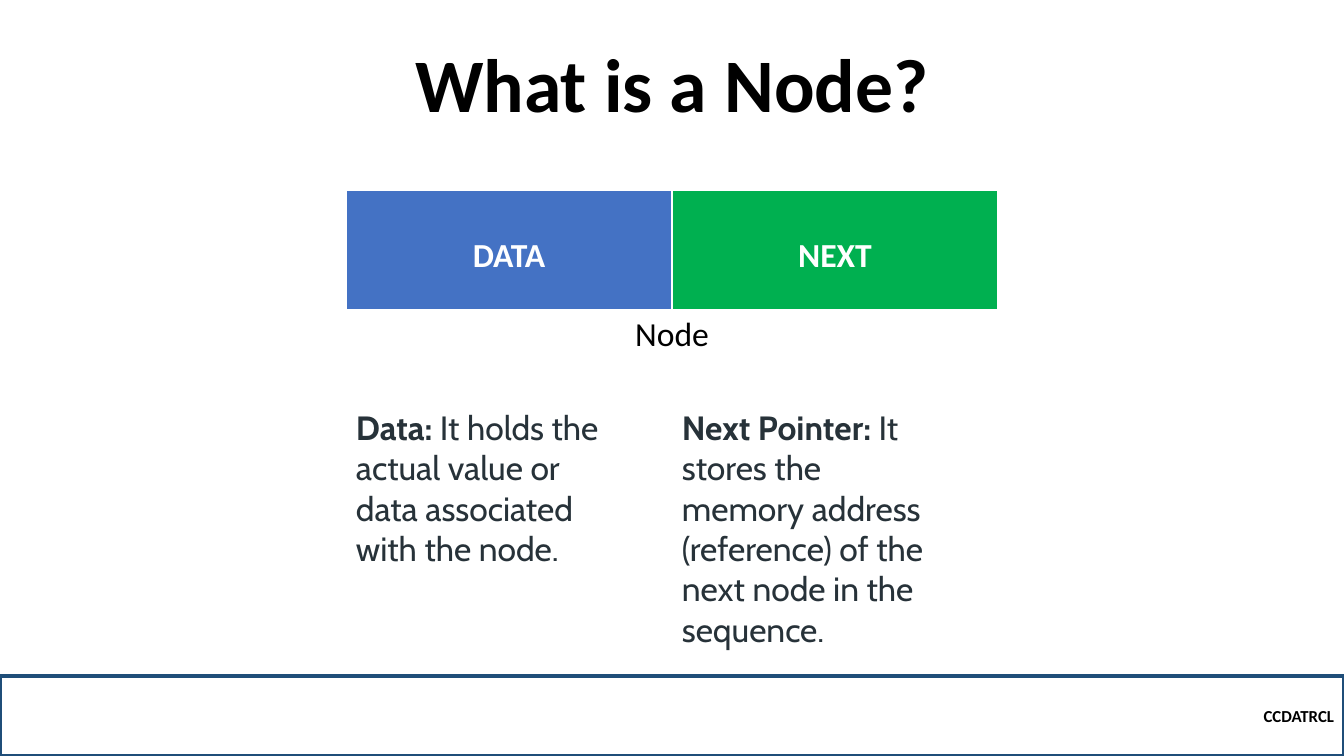
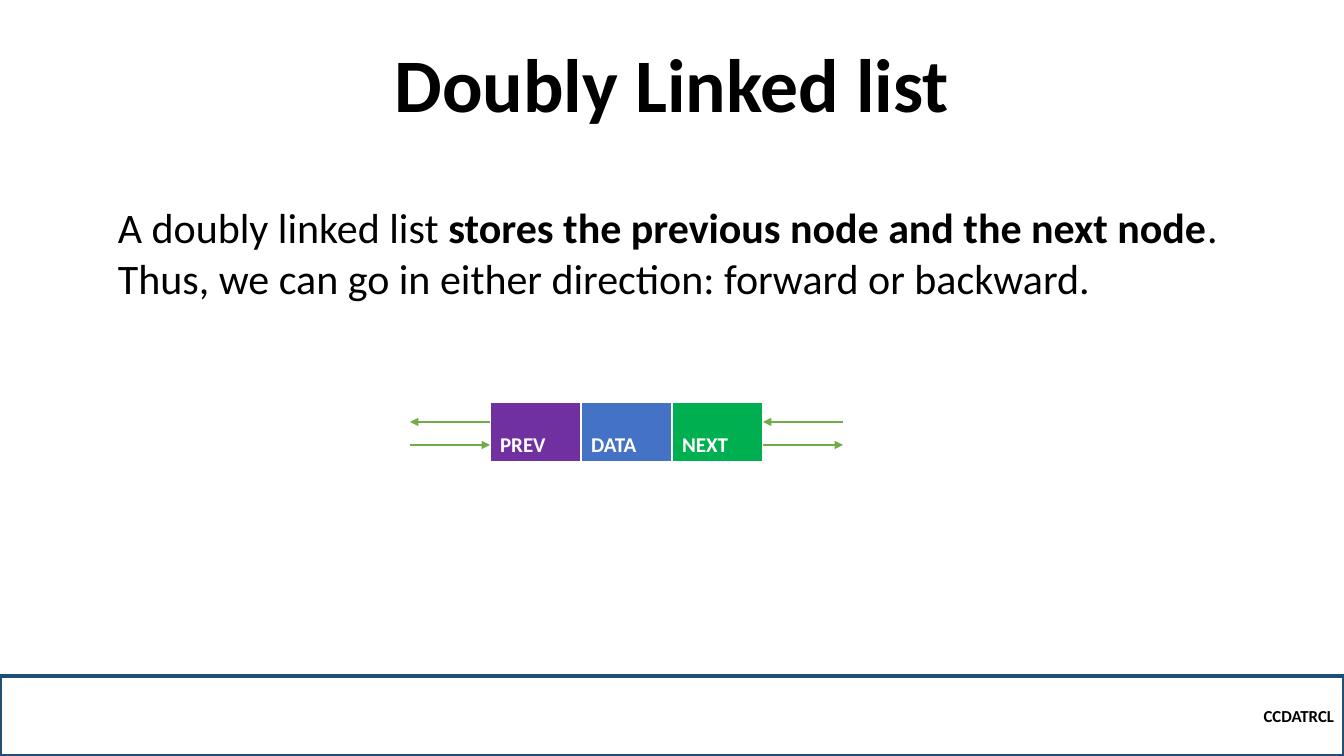
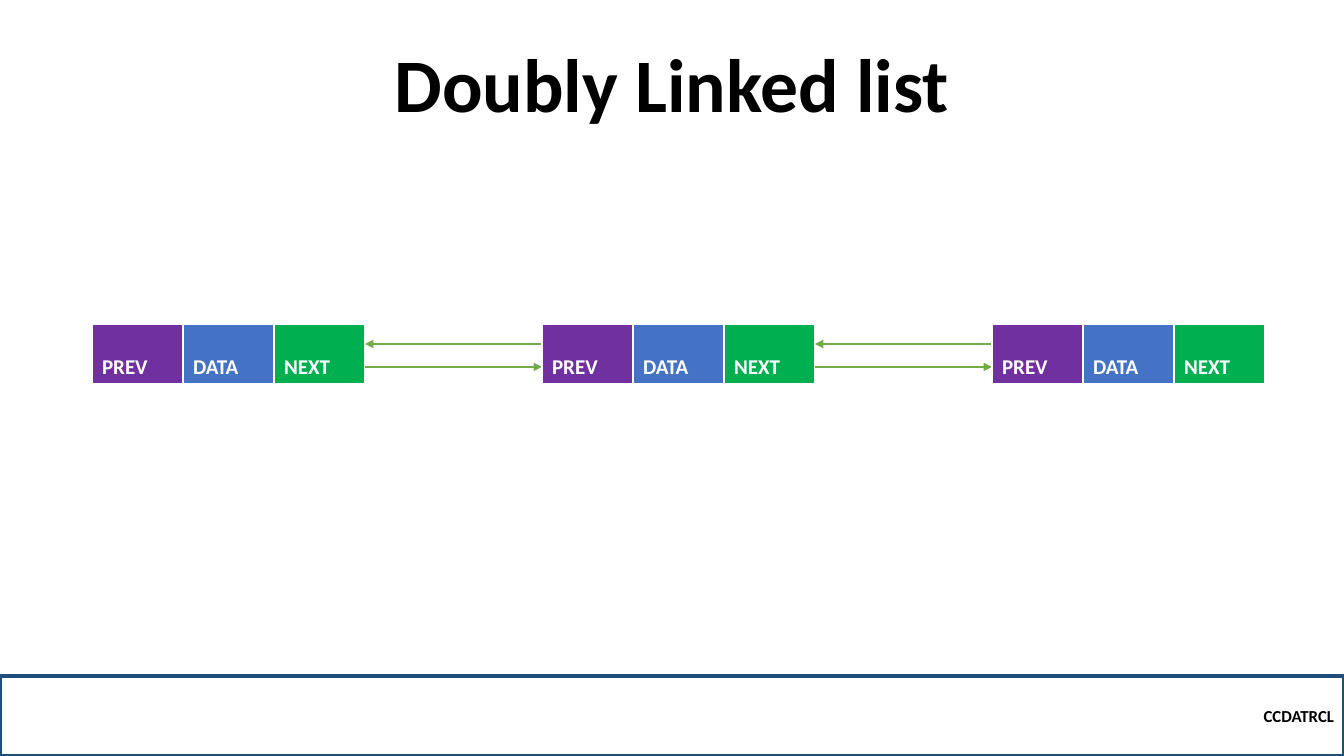
from lxml import etree
from pptx import Presentation
from pptx.dml.color import RGBColor
from pptx.enum.shapes import MSO_CONNECTOR, MSO_SHAPE
from pptx.enum.text import MSO_ANCHOR, MSO_AUTO_SIZE, PP_ALIGN
from pptx.oxml.ns import qn
from pptx.util import Pt

LEFT, CENTER, RIGHT = PP_ALIGN.LEFT, PP_ALIGN.CENTER, PP_ALIGN.RIGHT
TOP, MIDDLE, BOTTOM = MSO_ANCHOR.TOP, MSO_ANCHOR.MIDDLE, MSO_ANCHOR.BOTTOM
NO_AUTOFIT = MSO_AUTO_SIZE.NONE
RECTANGLE = MSO_SHAPE.RECTANGLE
STRAIGHT = MSO_CONNECTOR.STRAIGHT

SLIDE_WIDTH, SLIDE_HEIGHT = 1344, 756
EMU_PER_PIXEL = 12192000 / SLIDE_WIDTH
TITLE_ONLY = 5

BLACK, WHITE, SLATE = "000000", "FFFFFF", "273239"
NAVY, GREEN_LINK = "1F4E79", "70AD47"
PREV_COLOR, DATA_COLOR, NEXT_COLOR = "7030A0", "4472C4", "00B050"
FONT, BODY_FONT = "Calibri", "Cabin"

NODE_FIELDS = [("PREV", PREV_COLOR), ("DATA", DATA_COLOR), ("NEXT", NEXT_COLOR)]
FIELD_WIDTH, NODE_HEIGHT = 91, 61
NODE_WIDTH = FIELD_WIDTH * len(NODE_FIELDS)
BACKWARD_OFFSET, FORWARD_OFFSET = 20, 43


def px(pixels):
    """Turn pixels into EMU."""
    return round(pixels * EMU_PER_PIXEL)


def box(*pixels):
    """Turn a left, top, width, height box into EMU."""
    return [px(value) for value in pixels]


def rgb(color):
    """Turn a hex string into a colour."""
    return RGBColor.from_string(color)


def style(paragraph, size, color, bold=None, font=FONT, align=LEFT):
    """Set the font and alignment of a paragraph."""
    paragraph.alignment = align
    paragraph.font.name = font
    paragraph.font.size = Pt(size)
    paragraph.font.bold = bold
    paragraph.font.color.rgb = rgb(color)


def add_footer(slide):
    """Draw the outlined band with the course code."""
    band = slide.shapes.add_shape(RECTANGLE, *box(0, 676, SLIDE_WIDTH, 80))
    band.shadow.inherit = False
    band.fill.background()
    band.line.color.rgb = rgb(NAVY)
    band.line.width = Pt(2.25)
    band.text_frame.vertical_anchor = MIDDLE
    course = band.text_frame.paragraphs[0]
    course.text = "CCDATRCL"
    style(course, 12, BLACK, bold=True, align=RIGHT)


def add_slide(deck, heading):
    """Add a slide with its title and the shared footer."""
    slide = deck.slides.add_slide(deck.slide_layouts[TITLE_ONLY])
    title = slide.shapes.title
    title.left, title.top, title.width, title.height = box(168, 54, 1008, 80)
    title.text_frame.text = heading
    title.text_frame.auto_size = NO_AUTOFIT
    title.text_frame.vertical_anchor = BOTTOM
    line = title.text_frame.paragraphs[0]
    line.line_spacing = 0.9
    style(line, 54, BLACK, bold=True, align=CENTER)
    add_footer(slide)
    return slide


def add_passage(slide, area, parts, size, color, font=FONT):
    """Write one paragraph from (text, bold) parts."""
    frame = slide.shapes.add_textbox(*box(*area)).text_frame
    frame.word_wrap = True
    passage = frame.paragraphs[0]
    style(passage, size, color, font=font)
    for text, bold in parts:
        run = passage.add_run()
        run.text = text
        run.font.bold = bold


def set_borders(cell, bottom_width):
    """Give a cell white borders, with its own width at the bottom."""
    properties = cell._tc.get_or_add_tcPr()
    for side, width in (("L", 1), ("R", 1), ("T", 1), ("B", bottom_width)):
        border = etree.SubElement(properties, qn(f"a:ln{side}"), w=str(Pt(width)))
        fill = etree.SubElement(border, qn("a:solidFill"))
        etree.SubElement(fill, qn("a:srgbClr"), val=WHITE)


def fill_cell(cell, text, fill, size, color=WHITE, bold=True, align=LEFT,
              anchor=BOTTOM, bottom_margin=5, bottom_border=1):
    """Write and format one table cell."""
    set_borders(cell, bottom_border)
    cell.fill.solid()
    cell.fill.fore_color.rgb = rgb(fill)
    cell.vertical_anchor = anchor
    cell.margin_bottom = px(bottom_margin)
    label = cell.text_frame.paragraphs[0]
    label.text = text
    style(label, size, color, bold=bold, align=align)


def add_plain_table(slide, rows, columns, area):
    """Add a table without header or banding."""
    table = slide.shapes.add_table(rows, columns, *box(*area)).table
    table.first_row = False
    table.horz_banding = False
    return table


def add_captioned_node(slide):
    """Draw the large node with its two fields and a caption row."""
    table = add_plain_table(slide, 2, 2, (346, 190, 652, 240))
    for column, (text, fill) in enumerate(NODE_FIELDS[1:]):
        fill_cell(table.cell(0, column), text, fill, 24, align=CENTER,
                  bottom_margin=33)
    caption = table.cell(1, 0)
    caption.merge(table.cell(1, 1))
    fill_cell(caption, "Node", WHITE, 24, BLACK, bold=False, align=CENTER,
              anchor=TOP)


def add_node(slide, left, top):
    """Draw a doubly linked node."""
    table = add_plain_table(slide, 1, len(NODE_FIELDS),
                            (left, top, NODE_WIDTH, NODE_HEIGHT))
    for column, (text, fill) in enumerate(NODE_FIELDS):
        fill_cell(table.cell(0, column), text, fill, 15, bottom_border=3)


def add_arrow(slide, start, end, y):
    """Draw a level arrow from start to end."""
    arrow = slide.shapes.add_connector(STRAIGHT, *box(start, y, end, y))
    arrow.line.color.rgb = rgb(GREEN_LINK)
    arrow.line.width = Pt(1.5)
    etree.SubElement(arrow.line._get_or_add_ln(), qn("a:tailEnd"), type="triangle")
    etree.SubElement(arrow._element.spPr, qn("a:effectLst"))


def add_link(slide, left, right, node_top):
    """Draw the backward and forward arrows of one gap."""
    add_arrow(slide, right, left, node_top + BACKWARD_OFFSET)
    add_arrow(slide, left, right, node_top + FORWARD_OFFSET)


def build_node_slide(deck):
    """Explain the two fields of a node."""
    slide = add_slide(deck, "What is a Node?")
    add_captioned_node(slide)
    definitions = [
        ("Data:\u00a0",
         "It holds the actual value or data associated with the node."),
        ("Next Pointer:",
         "\u00a0It stores the memory address (reference) of the next node "
         "in the sequence."),
    ]
    for column, (term, meaning) in enumerate(definitions):
        add_passage(slide, (346 + 326 * column, 402, 281, 254),
                    [(term, True), (meaning, False)], 24, SLATE, BODY_FONT)


def build_definition_slide(deck):
    """Define the doubly linked list and show a single node."""
    slide = add_slide(deck, "Doubly Linked list")
    add_passage(slide, (108, 197, 1188, 112), [
        ("A doubly linked list ", False),
        ("stores the previous node and the next node", True),
        (". Thus, we can go in either direction: forward or backward.", False),
    ], 30, BLACK)
    node_left, node_top, link_length = 490, 402, 80
    node_right = node_left + NODE_WIDTH
    add_node(slide, node_left, node_top)
    add_link(slide, node_left - link_length, node_left, node_top)
    add_link(slide, node_right, node_right + link_length, node_top)


def build_chain_slide(deck):
    """Show three nodes linked in both directions."""
    slide = add_slide(deck, "Doubly Linked list")
    first_left, node_top, pitch, node_count = 92, 324, 450, 3
    for index in range(node_count):
        left = first_left + index * pitch
        add_node(slide, left, node_top)
        if index < node_count - 1:
            add_link(slide, left + NODE_WIDTH, left + pitch, node_top)


def main():
    """Build and save the deck."""
    deck = Presentation()
    deck.slide_width, deck.slide_height = px(SLIDE_WIDTH), px(SLIDE_HEIGHT)
    build_node_slide(deck)
    build_definition_slide(deck)
    build_chain_slide(deck)
    deck.save("out.pptx")


main()
